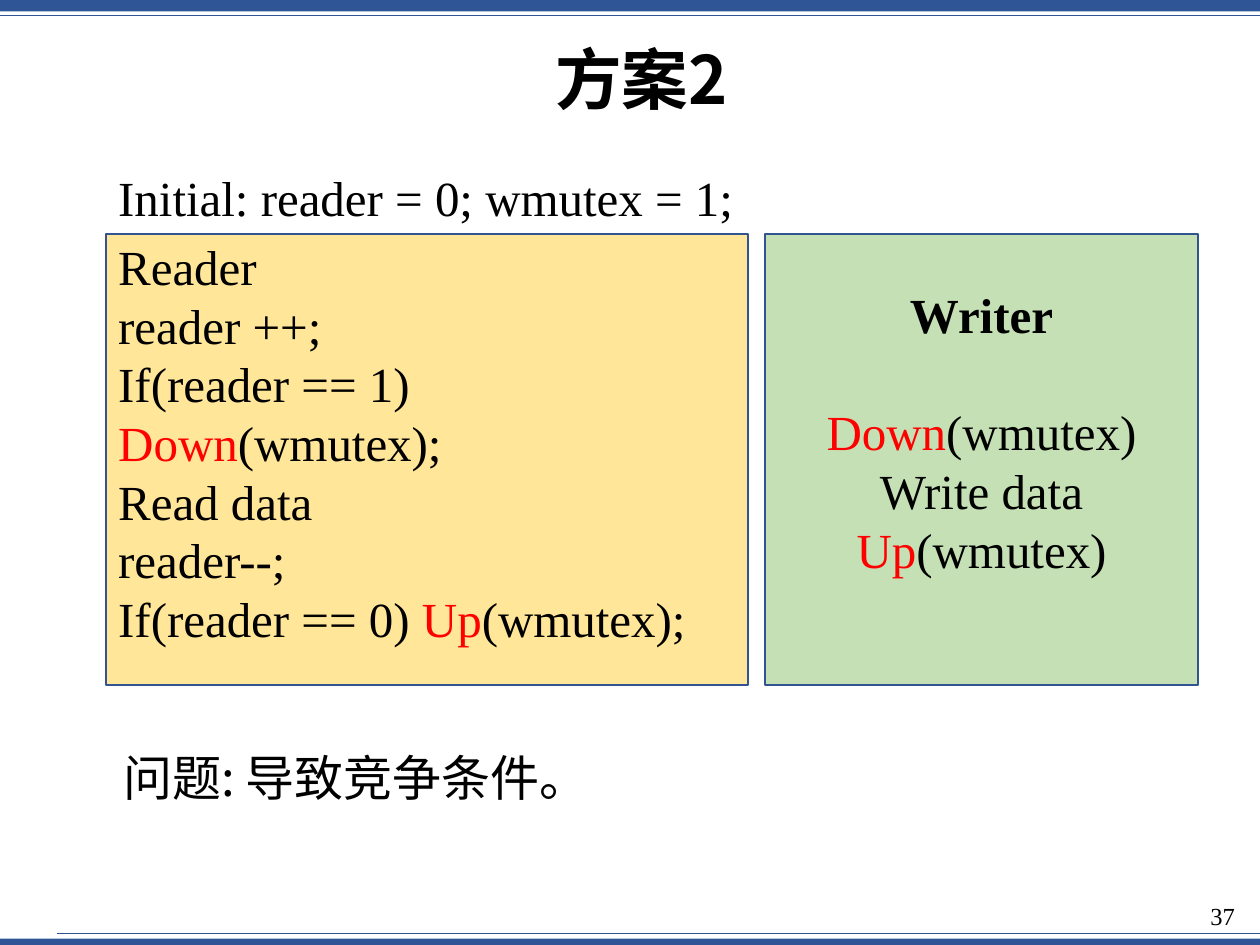
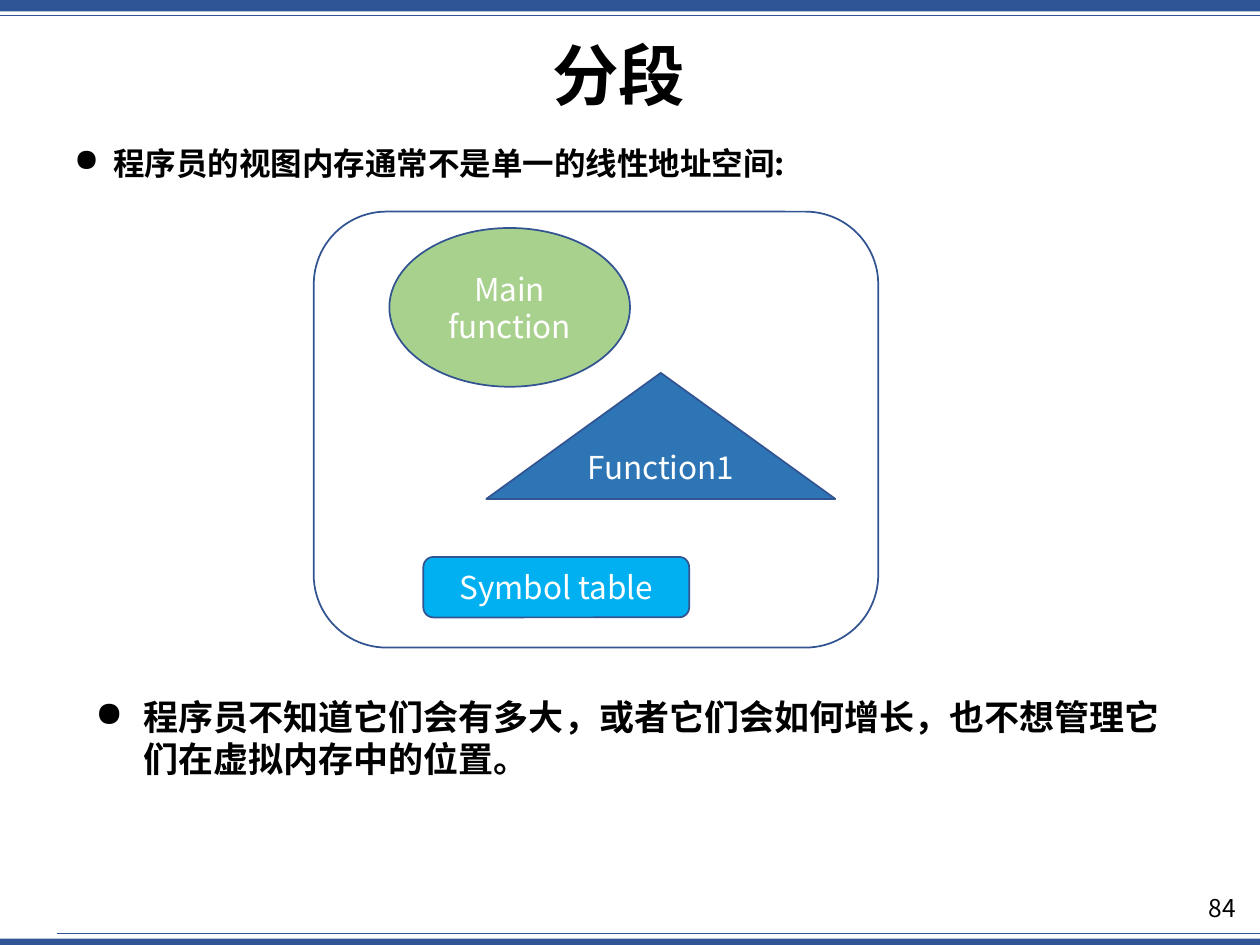
from dataclasses import dataclass

from lxml import etree
from pptx import Presentation
from pptx.dml.color import RGBColor
from pptx.enum.shapes import MSO_CONNECTOR, MSO_SHAPE as SHAPE
from pptx.enum.text import MSO_ANCHOR as ANCHOR, PP_ALIGN as ALIGN
from pptx.oxml.ns import qn
from pptx.util import Pt

PX = 9144  # EMU in one px, 100 px to the inch


@dataclass(frozen=True)
class Theme:
    band: str = "2F5597"
    outline: str = "325491"
    ink: str = "000000"
    white: str = "FFFFFF"
    call: str = "FF0000"
    reader: str = "FFE699"
    writer: str = "C5E0B4"
    main: str = "A9D18E"
    function: str = "2E75B6"
    symbols: str = "00B0F0"
    sans: str = "Noto Sans CJK SC"
    serif: str = "Times New Roman"
    title: int = 38
    code: int = 28
    code_line: float = 33.5
    point: int = 20
    label: int = 18
    number: int = 14


theme = Theme()
SEMAPHORE_CALLS = ("Down", "Up")


def add_box(page, place, kind=None, fill=None, line=None):
    """Add a text box, or a preset shape when a kind is given."""
    place = [PX * length for length in place]
    if kind is None:
        box = page.shapes.add_textbox(*place)
    else:
        box = page.shapes.add_shape(kind, *place)
        box.shadow.inherit = False
        if fill:
            box.fill.solid()
            box.fill.fore_color.rgb = RGBColor.from_string(fill)
        else:
            box.fill.background()
        if line:
            box.line.color.rgb = RGBColor.from_string(line)
            box.line.width = Pt(1)
        else:
            box.line.fill.background()
    box.text_frame.word_wrap = True
    return box


def write(box, lines, size, face=theme.sans, color=theme.ink, bold=False,
          frame_format=None, para_format=None, bullet_indent=0):
    """Fill a box; each line is a list of spans, semaphore calls in red."""
    frame = box.text_frame
    for name, value in (frame_format or {}).items():
        setattr(frame, name, value)
    for index, spans in enumerate(lines):
        para = frame.add_paragraph() if index else frame.paragraphs[0]
        if bullet_indent:
            props = para._p.get_or_add_pPr()
            props.set("marL", str(bullet_indent * PX))
            props.set("indent", str(-bullet_indent * PX))
            etree.SubElement(props, qn("a:buChar")).set("char", "●")
        for name, value in (para_format or {}).items():
            setattr(para, name, value)
        for text in spans:
            span = para.add_run()
            span.text = text
            for name, value in {"size": Pt(size), "name": face, "bold": bold}.items():
                setattr(span.font, name, value)
            shade = theme.call if text in SEMAPHORE_CALLS else color
            span.font.color.rgb = RGBColor.from_string(shade)
            east_asian = etree.SubElement(span._r.get_or_add_rPr(), qn("a:ea"))
            east_asian.set("typeface", theme.sans)


deck = Presentation()
deck.slide_width, deck.slide_height = 1000 * PX, 750 * PX
blank = deck.slide_layouts[6]

# Bands, rules, page number and title of every slide
headers = [
    ("方案2", (84, 23, 850, 86), theme.sans, "37", (936, 710, 54, 40), theme.serif),
    ("分段", (66, 0, 850, 125), theme.serif, "84", (945, 704, 46, 44), theme.sans),
]
pages = []
for title, title_place, title_face, number, number_place, number_face in headers:
    page = deck.slides.add_slide(blank)
    for top, height in ((745, 5), (0, 9)):
        add_box(page, (0, top, 1000, height), SHAPE.RECTANGLE, theme.band)
    for left, top in ((0, 12), (45, 741)):
        rule = page.shapes.add_connector(
            MSO_CONNECTOR.STRAIGHT, left * PX, top * PX, 1000 * PX, top * PX)
        rule.line.color.rgb = RGBColor.from_string(theme.band)
        rule.line.width = Pt(0.5)
        etree.SubElement(rule._element.spPr, qn("a:effectLst"))
    write(add_box(page, number_place), [[number]], theme.number, number_face,
          para_format={"alignment": ALIGN.RIGHT})
    write(add_box(page, title_place), [[title]], theme.title, title_face, bold=True,
          frame_format={"vertical_anchor": ANCHOR.MIDDLE},
          para_format={"alignment": ALIGN.CENTER, "line_spacing": 0.9})
    pages.append(page)
solution, segments = pages

# Readers and writers, second solution
code_line = {"line_spacing": Pt(theme.code_line), "alignment": ALIGN.LEFT}
centred = {**code_line, "alignment": ALIGN.CENTER}

writer = add_box(solution, (607, 186, 344, 358), SHAPE.RECTANGLE,
                 theme.writer, theme.outline)
write(writer, [["Writer"], ["Down", "(wmutex)"], ["Write data"], ["Up", "(wmutex)"]],
      theme.code, theme.serif, para_format=centred,
      frame_format={"vertical_anchor": ANCHOR.TOP, "margin_top": 40 * PX})
heading, first_step = writer.text_frame.paragraphs[:2]
heading.runs[0].font.bold = True
first_step.space_before = Pt(theme.code_line)

reader = add_box(solution, (84, 186, 510, 358), SHAPE.RECTANGLE,
                 theme.reader, theme.outline)
write(reader, [["Reader"], ["reader ++;"],
               ["If(reader == 1) ", "Down", "(wmutex);"],
               ["Read data"], ["reader--;"],
               ["If(reader == 0) ", "Up", "(wmutex);"]],
      theme.code, theme.serif, para_format=code_line,
      frame_format={"vertical_anchor": ANCHOR.TOP, "margin_top": 2 * PX})

write(add_box(solution, (88, 588, 886, 57)), [["问题: 导致竞争条件。"]], theme.code)
write(add_box(solution, (84, 128, 513, 57)), [["Initial: reader = 0; wmutex = 1;"]],
      theme.code, theme.serif, frame_format={"word_wrap": False},
      para_format=code_line)

# Segments as the programmer sees them
parts = [
    ("Main function", SHAPE.OVAL, (309, 181, 191, 126), theme.main),
    ("Function1", SHAPE.ISOSCELES_TRIANGLE, (386, 296, 277, 100), theme.function),
    ("Symbol table", SHAPE.ROUNDED_RECTANGLE, (336, 442, 211, 48), theme.symbols),
]
for name, kind, place, fill in parts:
    part = add_box(segments, place, kind, fill, theme.outline)
    write(part, [[name]], theme.label, color=theme.white,
          frame_format={"vertical_anchor": ANCHOR.MIDDLE},
          para_format={"alignment": ALIGN.CENTER})

points = [
    ("程序员不知道它们会有多大，或者它们会如何增长，也不想管理它们在虚拟内存中的位置。",
     (66, 547, 873, 77), theme.point, 38),
    ("程序员的视图内存通常不是单一的线性地址空间:",
     (49, 109, 896, 40), theme.label, 31),
]
for text, place, size, indent in points:
    write(add_box(segments, place), [[text]], size, bold=True, bullet_indent=indent)

add_box(segments, (249, 168, 448, 346), SHAPE.ROUNDED_RECTANGLE, line=theme.outline)

deck.save("out.pptx")
